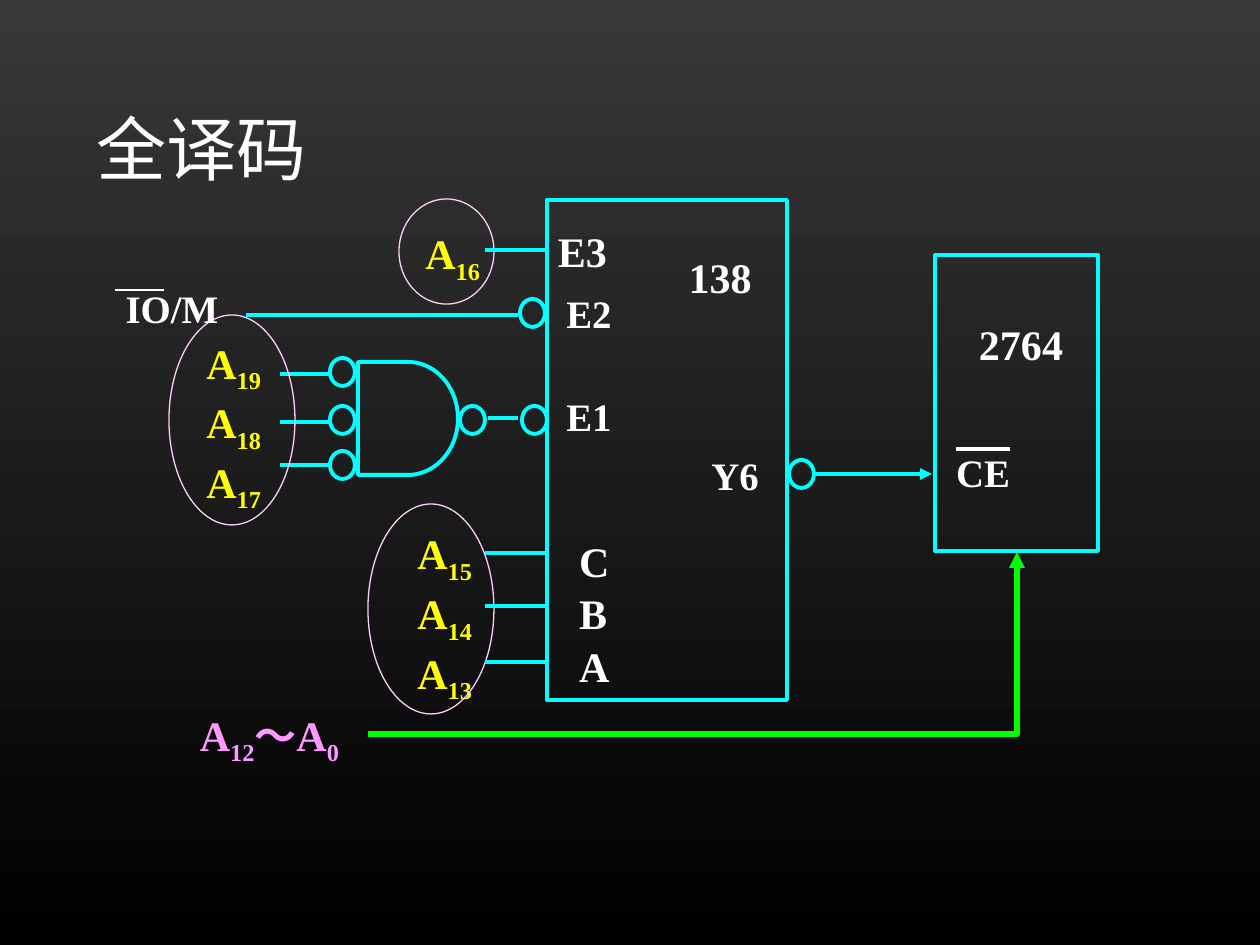
from dataclasses import dataclass

from lxml import etree
from pptx import Presentation
from pptx import util as u
from pptx.dml.color import RGBColor
from pptx.enum import shapes, text
from pptx.oxml.ns import qn

PX = 914400 / 126  # EMU in one px


@dataclass(frozen=True)
class Theme:
    bg_top: str = "383838"
    bg_bottom: str = "000000"
    ink: str = "FFFFFF"
    circuit: str = "00FFFF"
    address: str = "FFFF00"
    low_address: str = "FF99FF"
    bus: str = "00FF00"
    ring: str = "FFCCFF"
    title_font: str = "Arial Narrow"
    body_font: str = "Times New Roman"
    title_size: float = 40
    label_size: float = 24
    pin_size: float = 22.2
    thin: float = 0.75
    wire: float = 2.25
    thick: float = 3


T = Theme()
ALIGN = text.PP_ALIGN
BUBBLE = (25, 28)
PIN_BOX = (134, 52)
NAME_BOX = (122, 76)


def emu(*lengths):
    return [u.Emu(round(length * PX)) for length in lengths]


def style_font(font, name, size, color, bold):
    font.name, font.size, font.bold = name, u.Pt(size), bold
    font.color.rgb = RGBColor.from_string(color)


def style_line(line, color, width):
    line.color.rgb = RGBColor.from_string(color)
    line.width = u.Pt(width)


def add_arrowhead(shape):
    etree.SubElement(shape.line._get_or_add_ln(), qn("a:tailEnd"), type="triangle")


def add_label(slide, lines, x, y, w, h, size=T.label_size, color=T.ink,
              align=ALIGN.CENTER, spacing=None):
    """Place bold lines of text; every second part between '_' is a subscript."""
    frame = slide.shapes.add_textbox(*emu(x, y, w, h)).text_frame
    frame.word_wrap = True
    frame.margin_left, frame.margin_right, frame.margin_bottom = emu(1, 1, 1)
    frame.margin_top = emu(6)[0]
    for row, line in enumerate(lines):
        paragraph = frame.add_paragraph() if row else frame.paragraphs[0]
        paragraph.alignment = align
        if spacing:
            paragraph.line_spacing = spacing
        if row:
            paragraph.space_before = u.Pt(1.3)
        for index, part in enumerate(line.split("_")):
            if not part:
                continue
            run = paragraph.add_run()
            run.text = part
            style_font(run.font, T.body_font, size, color, True)
            if index % 2:
                run.font._element.set("baseline", "-25000")


def add_pin(slide, name, x, y):
    add_label(slide, [name], x, y, *PIN_BOX, size=T.pin_size, spacing=0.9)


def add_outline(slide, kind, x, y, w, h, color=T.circuit, width=T.wire):
    shape = slide.shapes.add_shape(kind, *emu(x, y, w, h))
    shape.shadow.inherit = False
    shape.fill.background()
    style_line(shape.line, color, width)


def add_bubble(slide, x, y):
    add_outline(slide, shapes.MSO_SHAPE.OVAL, x, y, *BUBBLE)


def add_wire(slide, x1, y1, x2, y2, color=T.circuit, width=T.wire):
    wire = slide.shapes.add_connector(shapes.MSO_CONNECTOR.STRAIGHT, *emu(x1, y1, x2, y2))
    style_line(wire.line, color, width)
    etree.SubElement(wire._element.spPr, qn("a:effectLst"))
    return wire


def draw_title(slide, x, y, w, h):
    title = slide.shapes.title
    title.left, title.top, title.width, title.height = emu(x, y, w, h)
    title.text_frame.vertical_anchor = text.MSO_ANCHOR.BOTTOM
    paragraph = title.text_frame.paragraphs[0]
    paragraph.text = "全译码"
    paragraph.alignment = ALIGN.LEFT
    style_font(paragraph.runs[0].font, T.title_font, T.title_size, T.ink, False)


def draw_decoder(slide, x, y, w, h):
    add_outline(slide, shapes.MSO_SHAPE.RECTANGLE, x, y, w, h)
    add_label(slide, ["138"], x + 112, y + 46, *NAME_BOX)
    # Input and output pins
    add_label(slide, ["E3"], x + 10, y + 19, 163, 71, align=ALIGN.JUSTIFY)
    add_label(slide, ["C", "B", "A"], x + 31, y + 329, 96, 183, align=ALIGN.JUSTIFY)
    for name, dx, dy in (("E2", -25, 89), ("E1", -25, 192), ("Y6", 121, 251)):
        add_pin(slide, name, x + dx, y + dy)
    # Active-low bubbles
    for dx, dy in ((-27, 99), (-25, 206), (w + 2, 260)):
        add_bubble(slide, x + dx, y + dy)


def draw_memory(slide, x, y, w, h):
    add_outline(slide, shapes.MSO_SHAPE.RECTANGLE, x, y, w, h)
    add_label(slide, ["2764"], x + 25, y + 58, *NAME_BOX)
    add_pin(slide, "CE", x - 19, y + 193)
    add_wire(slide, x + 21, y + 194, x + 75, y + 194, T.ink)


def draw_gate(slide, x, y, w, h):
    add_outline(slide, shapes.MSO_SHAPE.FLOWCHART_DELAY, x, y, w, h)
    # Inverted inputs with their leads
    for bubble_y, lead_y in ((-4, 12), (44, 60), (89, 103)):
        add_bubble(slide, x - 28, y + bubble_y)
        add_wire(slide, x - 78, y + lead_y, x - 29, y + lead_y)
    # Inverted output with its lead
    add_bubble(slide, x + w + 2, y + 44)
    add_wire(slide, x + w + 30, y + 56, x + w + 60, y + 56)


def draw_address_group(slide, x, y, w, h, bits, text_box):
    dx, dy, text_w, text_h = text_box
    add_label(slide, [f"A_{bit}" for bit in bits], x + dx, y + dy, text_w, text_h,
              color=T.address, align=ALIGN.RIGHT)
    add_outline(slide, shapes.MSO_SHAPE.OVAL, x, y, w, h, T.ring, T.thin)


def draw_io_signal(slide, x, y):
    add_pin(slide, "IO/M", x, y)
    add_wire(slide, x + 10, y + 6, x + 59, y + 6, T.ink, T.thin)
    add_wire(slide, x + 141, y + 31, x + 413, y + 31)


def draw_low_address_bus(slide, x, y, w, h):
    add_label(slide, ["A_12_～A_0"], x, y, w, h, color=T.low_address, align=ALIGN.RIGHT)
    outline = slide.shapes.build_freeform(x + 232, y + 31, scale=PX)
    outline.add_line_segments([(x + 881, y + 31), (x + 881, y - 151)], close=False)
    bus = outline.convert_to_shape()
    bus.shadow.inherit = False
    bus.fill.background()
    style_line(bus.line, T.bus, T.thick)
    add_arrowhead(bus)


def main():
    deck = Presentation()
    deck.slide_width, deck.slide_height = u.Inches(10), u.Inches(7.5)
    slide = deck.slides.add_slide(deck.slide_layouts[5])

    # Background fades from top to bottom
    fill = slide.background.fill
    fill.gradient()
    fill.gradient_angle = 270
    for stop, color in zip(fill.gradient_stops, (T.bg_top, T.bg_bottom)):
        stop.color.rgb = RGBColor.from_string(color)

    draw_title(slide, 84, 38, 1092, 158)
    draw_decoder(slide, 547, 200, 240, 500)
    draw_memory(slide, 935, 255, 163, 296)
    draw_gate(slide, 358, 362, 100, 113)
    draw_address_group(slide, 169, 315, 126, 210, (19, 18, 17), (-51, 16, 144, 180))
    draw_address_group(slide, 368, 504, 126, 210, (15, 14, 13), (-64, 18, 169, 192))
    draw_address_group(slide, 399, 199, 95, 105, (16,), (-25, 23, 107, 78))
    draw_io_signal(slide, 105, 284)
    draw_low_address_bus(slide, 136, 703, 204, 107)

    # Address leads into the decoder
    for lead_y in (250, 553, 606, 662):
        add_wire(slide, 485, lead_y, 547, lead_y)
    # Decoder output enables the memory
    add_arrowhead(add_wire(slide, 814, 474, 932, 474))

    deck.save("out.pptx")


if __name__ == "__main__":
    main()
